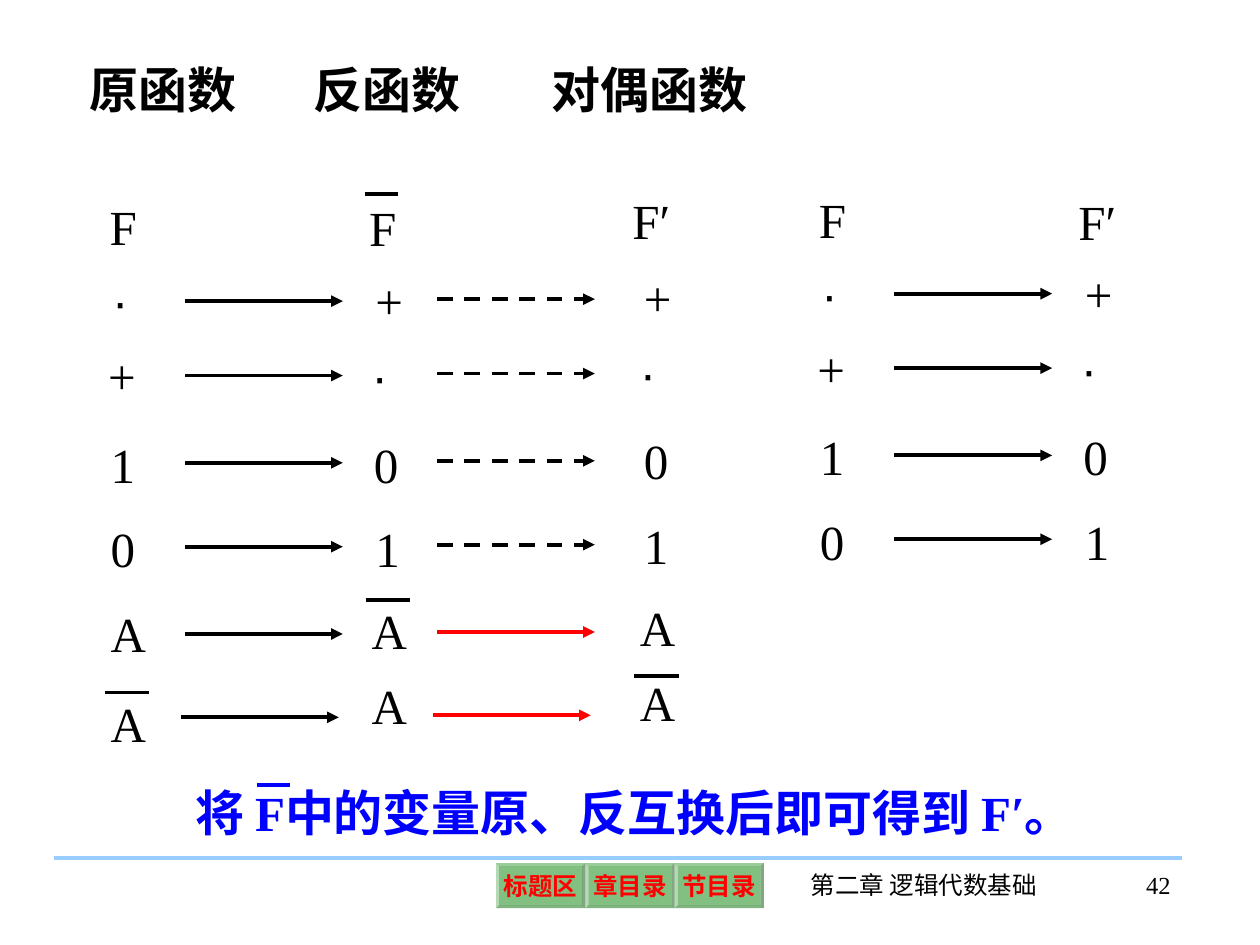
import pptx
import pptx.util
from pptx.dml.color import RGBColor
from pptx.enum.dml import MSO_LINE
from pptx.enum.shapes import MSO_CONNECTOR, MSO_SHAPE
from pptx.enum.text import MSO_ANCHOR, MSO_AUTO_SIZE, PP_ALIGN
from pptx.oxml.ns import qn
from lxml import etree

Cm, Pt = pptx.util.Cm, pptx.util.Pt

BLACK = RGBColor(0x00, 0x00, 0x00)
RED = RGBColor(0xFF, 0x00, 0x00)
BLUE = RGBColor(0x00, 0x00, 0xFF)
GREEN = RGBColor(0x00, 0x80, 0x00)
SKY = RGBColor(0x99, 0xCC, 0xFF)
SERIF, SANS = "Times New Roman", "Arial"

# Content: lengths in cm
CONCLUSION = "将 F中的变量原、反互换后即可得到 F′。"
HEADINGS = [("原函数", 1.55, 3.78), ("反函数", 6.07, 3.78), ("对偶函数", 10.87, 4.72)]
BUTTONS = ["标题区", "章目录", "节目录"]
FOOTERS = [("第二章 逻辑代数基础", 15.6, 6.05, PP_ALIGN.CENTER),
           ("42", 21.67, 2.18, PP_ALIGN.RIGHT)]

# Each column: left, top, then (symbol, shift right, shift down, overline height or None)
COLUMNS = [
    (1.98, 5.33, [("F", -0.02, 0, None), ("·", 0.03, 0, None), ("+", -0.05, 0, None),
                  ("1", 0, 0, None), ("0", 0, 0, None), ("A", 0, 0.05, None),
                  ("A", 0, 0.36, 0.1)]),
    (7.24, 5.33, [("F", -0.05, 0.02, 0.05), ("+", 0.08, 0, None), ("·", 0, 0, None),
                  ("0", 0.05, 0, None), ("1", 0.08, 0, None), ("A", 0, 0, 0.1),
                  ("A", 0, 0, None)]),
    (12.65, 5.26, [("F′", -0.15, -0.06, None), ("+", 0.08, 0, None), ("·", 0, 0, None),
                   ("0", 0.08, 0, None), ("1", 0.08, 0, None), ("A", 0, 0, None),
                   ("A", 0, 0, 0.2)]),
    (16.28, 5.18, [("F", -0.02, 0, None), ("·", 0.03, 0, None), ("+", -0.05, 0, None),
                   ("1", 0, 0, None), ("0", 0, 0, None)]),
    (21.54, 5.18, [("F′", -0.05, 0.04, None), ("+", 0.08, 0, None), ("·", 0, 0, None),
                   ("0", 0.05, 0, None), ("1", 0.08, 0, None)]),
]
SYMBOL_ROWS = [-1.49, 0, 1.52, 3.3, 5.0, 6.66, 8.17]
OVERLINES = {"F": (0.16, 0.68), "A": (0.13, 0.9)}  # shift right, length

# Each arrow group: left, top, (colour, dashed) per row
ARROWS = [
    (3.73, 6.07, [(BLACK, False)] * 6),
    (8.81, 6.03, [(BLACK, True)] * 4 + [(RED, False)] * 2),
    (18.03, 5.92, [(BLACK, False)] * 4),
]
ARROW_ROWS = [(0, 0), (0, 1.5), (0, 3.26), (0, 4.95), (0, 6.71), (-0.08, 8.39)]
ARROW_LENGTH = 3.18


def write(shape, text, size=28, color=BLACK, bold=False, font=SERIF,
          align=PP_ALIGN.LEFT, anchor=MSO_ANCHOR.TOP, wrap=True):
    frame = shape.text_frame
    frame.word_wrap = wrap
    frame.auto_size = MSO_AUTO_SIZE.NONE
    frame.vertical_anchor = anchor
    paragraph = frame.paragraphs[0]
    paragraph.alignment = align
    paragraph.space_before = Pt(0)
    run = paragraph.add_run()
    run.text = text
    run.font.size, run.font.bold, run.font.name = Pt(size), bold, font
    run.font.color.rgb = color


def add_label(left, top, width, height, text, **style):
    write(slide.shapes.add_textbox(Cm(left), Cm(top), Cm(width), Cm(height)), text, **style)


def add_rule(left, top, length, color=BLACK, dashed=False, arrow=False):
    rule = slide.shapes.add_connector(
        MSO_CONNECTOR.STRAIGHT, Cm(left), Cm(top), Cm(left + length), Cm(top))
    rule.line.color.rgb = color
    rule.line.width = Pt(2.25)
    if dashed:
        rule.line.dash_style = MSO_LINE.DASH
    if arrow:
        etree.SubElement(rule.line._get_or_add_ln(), qn("a:tailEnd"), type="triangle")
    etree.SubElement(rule._element.spPr, qn("a:effectLst"))


deck = pptx.Presentation()
deck.slide_width, deck.slide_height = Cm(25.4), Cm(19.05)
slide = deck.slides.add_slide(deck.slide_layouts[5])

# Conclusion, with its overlined F
conclusion = slide.shapes.title
conclusion.left, conclusion.top = Cm(3.68), Cm(15.65)
conclusion.width, conclusion.height = Cm(19.69), Cm(1.45)
write(conclusion, CONCLUSION, color=BLUE, bold=True)
add_rule(5.18, 15.82, 0.66, BLUE)

# Column headings
for heading, left, width in HEADINGS:
    add_label(left, 1.07, width, 1.45, heading, bold=True)

# Symbols and their overlines
for column_left, column_top, symbols in COLUMNS:
    for (symbol, right, down, overline), row in zip(symbols, SYMBOL_ROWS):
        left, top = column_left + right, column_top + row + down
        add_label(left, top, 2.13 if symbol == "F′" else 1.57, 1.45, symbol,
                  font=SANS if symbol == "·" else SERIF)
        if overline is not None:
            shift, length = OVERLINES[symbol]
            add_rule(left + shift, top + overline, length)

# Arrows between the columns
for group_left, group_top, arrows in ARROWS:
    for (color, dashed), (right, down) in zip(arrows, ARROW_ROWS):
        add_rule(group_left + right, group_top + down, ARROW_LENGTH, color, dashed, arrow=True)

# Footer: rule, navigation buttons, chapter and page number
add_rule(1.09, 17.3, 22.73, SKY)
for index, caption in enumerate(BUTTONS):
    button = slide.shapes.add_shape(
        MSO_SHAPE.BEVEL, Cm(10 + 1.8 * index), Cm(17.4), Cm(1.8), Cm(0.91))
    button.adjustments[0] = 0.07
    button.shadow.inherit = False
    button.fill.solid()
    button.fill.fore_color.rgb = GREEN
    tint = button._element.spPr.find(qn("a:solidFill")).find(qn("a:srgbClr"))
    etree.SubElement(tint, qn("a:alpha"), val="49000")
    button.line.fill.background()
    frame = button.text_frame
    frame.margin_left = frame.margin_right = frame.margin_top = frame.margin_bottom = Cm(0.1)
    write(button, caption, size=14, color=RED, bold=True, align=PP_ALIGN.CENTER,
          anchor=MSO_ANCHOR.MIDDLE, wrap=False)
for text, left, width, align in FOOTERS:
    add_label(left, 17.41, width, 1.27, text, size=14, align=align)

deck.save("out.pptx")
